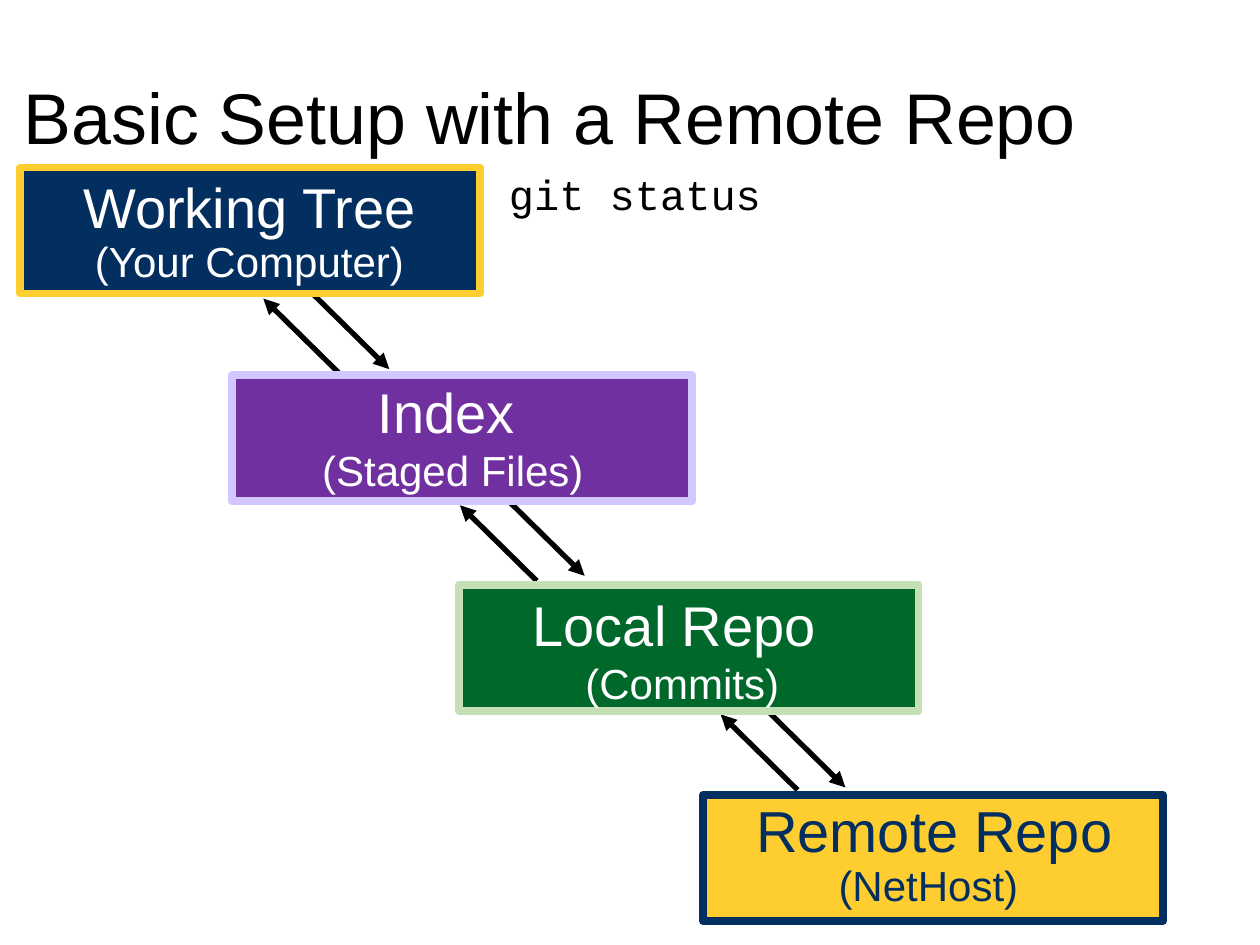
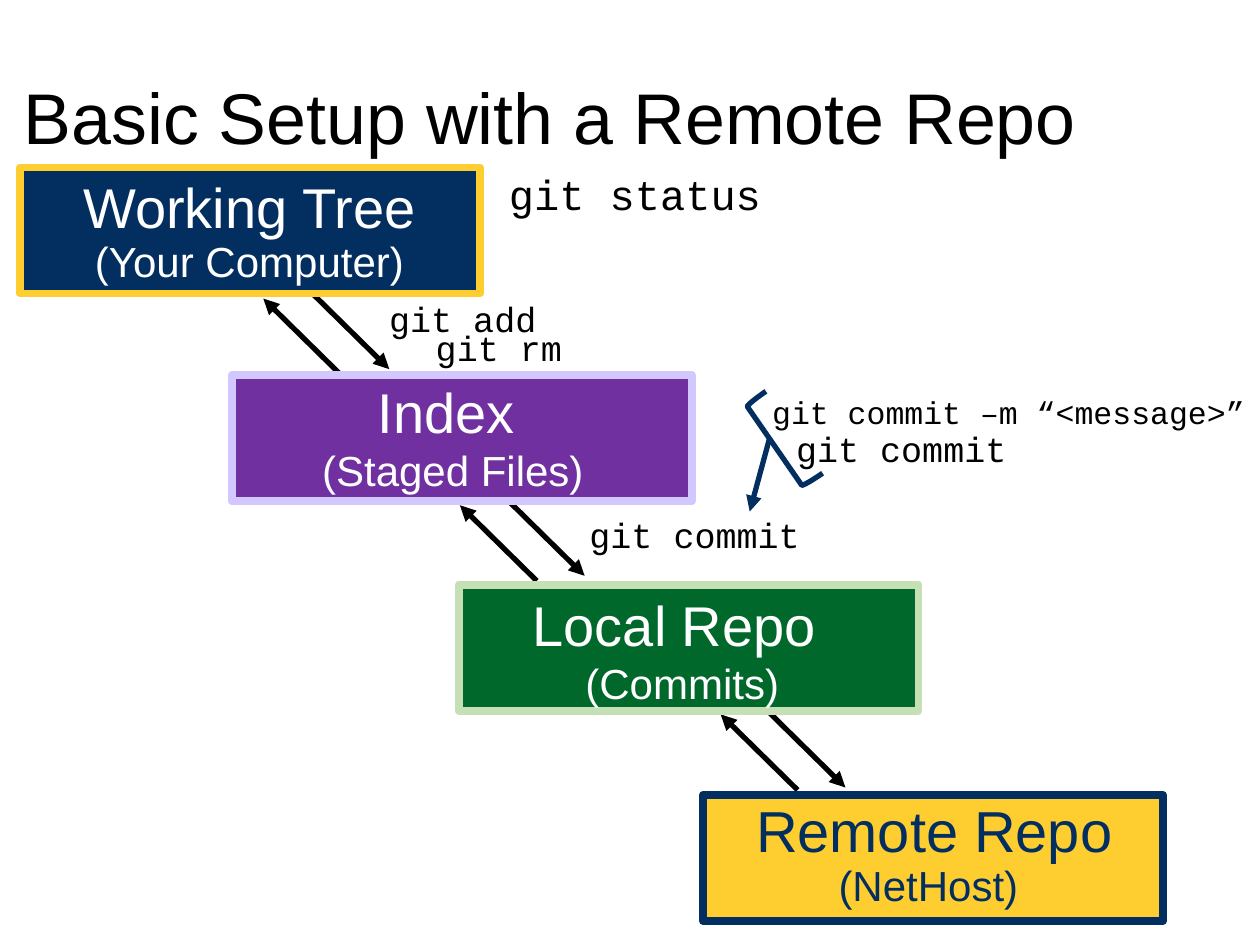
import dataclasses
import pptx
import pptx.util
import pptx.dml.color
import pptx.enum.shapes
import pptx.enum.text
import pptx.oxml.ns
from lxml import etree

Inches = pptx.util.Inches
Pt = pptx.util.Pt
SHAPE = pptx.enum.shapes.MSO_SHAPE
ALIGN = pptx.enum.text.PP_ALIGN
ANCHOR = pptx.enum.text.MSO_ANCHOR
FIT = pptx.enum.text.MSO_AUTO_SIZE


@dataclasses.dataclass(frozen=True)
class Theme:
    navy: str = "032E60"
    gold: str = "FECE31"
    purple: str = "7030A0"
    lilac: str = "D3C7FF"
    green: str = "00682B"
    mint: str = "C5E0B4"
    white: str = "FFFFFF"
    black: str = "000000"
    sans: str = "Arial"
    mono: str = "Courier New"
    title: int = 41
    name: int = 32
    note: int = 24
    code: int = 20
    small: int = 18
    line: float = 3
    frame: float = 4.5


T = Theme()
STAGE = (3.65, 1)    # size of each stage box
STEP = (0.61, 0.6)   # run and drop of each arrow

# Stage: left, top, fill, frame, font colour, line spacing,
# text box (offset and size), paragraphs of (text, size) runs
STAGES = [
    (0.16, 1.33, T.navy, T.gold, T.white, 0.9, (0.15, -0.04, 3.34, 1.12),
     [[("Working Tree", T.name)], [("(Your Computer)", T.note)]]),
    (1.84, 2.98, T.purple, T.lilac, T.white, 1, (-0.06, -0.16, 3.63, 1.28),
     [[("Index", T.name), (" ", 28)], [("(Staged Files)", T.note)]]),
    (3.64, 4.64, T.green, T.mint, T.white, 1, (-0.04, -0.13, 3.63, 1.28),
     [[("Local Repo ", T.name)], [("(Commits)", T.note)]]),
    (5.58, 6.31, T.gold, T.navy, T.navy, 0.9, (0.1, 0.01, 3.47, 0.96),
     [[("Remote Repo ", 33), ("(NetHost) ", T.note)]]),
]

# Upper left ends of the arrows between stages: upward, downward
LINKS = [((2.09, 2.37), (2.48, 2.33)),
         ((3.65, 4.01), (4.03, 3.97)),
         ((5.72, 5.67), (6.1, 5.65))]


def color(code):
    return pptx.dml.color.RGBColor.from_string(code)


def place(box):
    return [Inches(n) for n in box]


def write(slide, box, paras, tint, font=T.sans, space=1, align=ALIGN.LEFT):
    """Add a text box, vertically centred, from paragraphs of runs."""
    text = slide.shapes.add_textbox(*place(box))
    frame = text.text_frame
    frame.word_wrap = True
    frame.vertical_anchor = ANCHOR.MIDDLE
    for i, runs in enumerate(paras):
        para = frame.paragraphs[0] if i == 0 else frame.add_paragraph()
        para.alignment = align
        para.line_spacing = space
        for words, size in runs:
            run = para.add_run()
            run.text = words
            run.font.name = font
            run.font.size = Pt(size)
            run.font.color.rgb = color(tint)
    return frame


def code(slide, box, words, size=T.code):
    """Add a command label that does not wrap."""
    frame = write(slide, box, [[(words, size)]], T.black, T.mono)
    frame.vertical_anchor = ANCHOR.TOP
    frame.word_wrap = False
    frame.auto_size = FIT.SHAPE_TO_FIT_TEXT


def arrow(slide, start, end, tint=T.black):
    """Draw an arrow with its head at the end point."""
    link = slide.shapes.add_connector(
        pptx.enum.shapes.MSO_CONNECTOR.STRAIGHT, *place(start + end))
    link.line.color.rgb = color(tint)
    link.line.width = Pt(T.line)
    qn = pptx.oxml.ns.qn
    etree.SubElement(link.line._get_or_add_ln(), qn("a:tailEnd"),
                     type="triangle")
    etree.SubElement(link._element.spPr, qn("a:effectLst"))


def links(slide):
    """Draw a pair of opposite arrows between neighbouring stages."""
    for up, down in LINKS:
        arrow(slide, (up[0] + STEP[0], up[1] + STEP[1]), up)
        arrow(slide, down, (down[0] + STEP[0], down[1] + STEP[1]))


def stage(slide, left, top, fill, edge, tint, space, inner, paras):
    """Draw one stage box with its text placed from the box corner."""
    rect = slide.shapes.add_shape(SHAPE.RECTANGLE,
                                  *place((left, top) + STAGE))
    rect.shadow.inherit = False
    rect.fill.solid()
    rect.fill.fore_color.rgb = color(fill)
    rect.line.color.rgb = color(edge)
    rect.line.width = Pt(T.frame)
    dx, dy, wide, high = inner
    write(slide, (left + dx, top + dy, wide, high), paras, tint,
          space=space, align=ALIGN.CENTER)


def choice(slide, left, top):
    """Bracket the two commit forms and point to the commit step."""
    mark = slide.shapes.add_shape(
        SHAPE.LEFT_BRACKET, *place((left + 0.1, top + 0.02, 0.19, 0.79)))
    mark.shadow.inherit = False
    mark.rotation = 325.3
    mark.fill.background()
    mark.line.color.rgb = color(T.navy)
    mark.line.width = Pt(T.line)
    arrow(slide, (left + 0.08, top + 0.4), (left - 0.08, top + 0.99), T.navy)
    code(slide, (left, top, 3.97, 0.4), "git commit –m “<message>”", T.small)
    code(slide, (left + 0.19, top + 0.27, 1.88, 0.44), "git commit")


def setup(deck):
    """Add a slide with the title, the four stages and git status."""
    slide = deck.slides.add_slide(deck.slide_layouts[6])
    links(slide)
    write(slide, (0.09, 0.24, 8.62, 1.45),
          [[("Basic Setup with a Remote Repo", T.title)]], T.black, space=0.9)
    for item in STAGES:
        stage(slide, *item)
    code(slide, (3.94, 1.29, 2.22, 0.5), "git status", T.note)
    return slide


def steps(slide):
    """Label the arrows with the commands that move files along."""
    code(slide, (2.99, 2.31, 1.38, 0.44), "git add")
    code(slide, (3.36, 2.54, 1.21, 0.44), "git rm")
    code(slide, (4.58, 4.03, 1.88, 0.44), "git commit")
    choice(slide, 6.03, 3.07)


def main():
    deck = pptx.Presentation()
    deck.slide_width, deck.slide_height = Inches(10), Inches(7.5)
    setup(deck)
    steps(setup(deck))
    deck.save("out.pptx")


if __name__ == "__main__":
    main()
